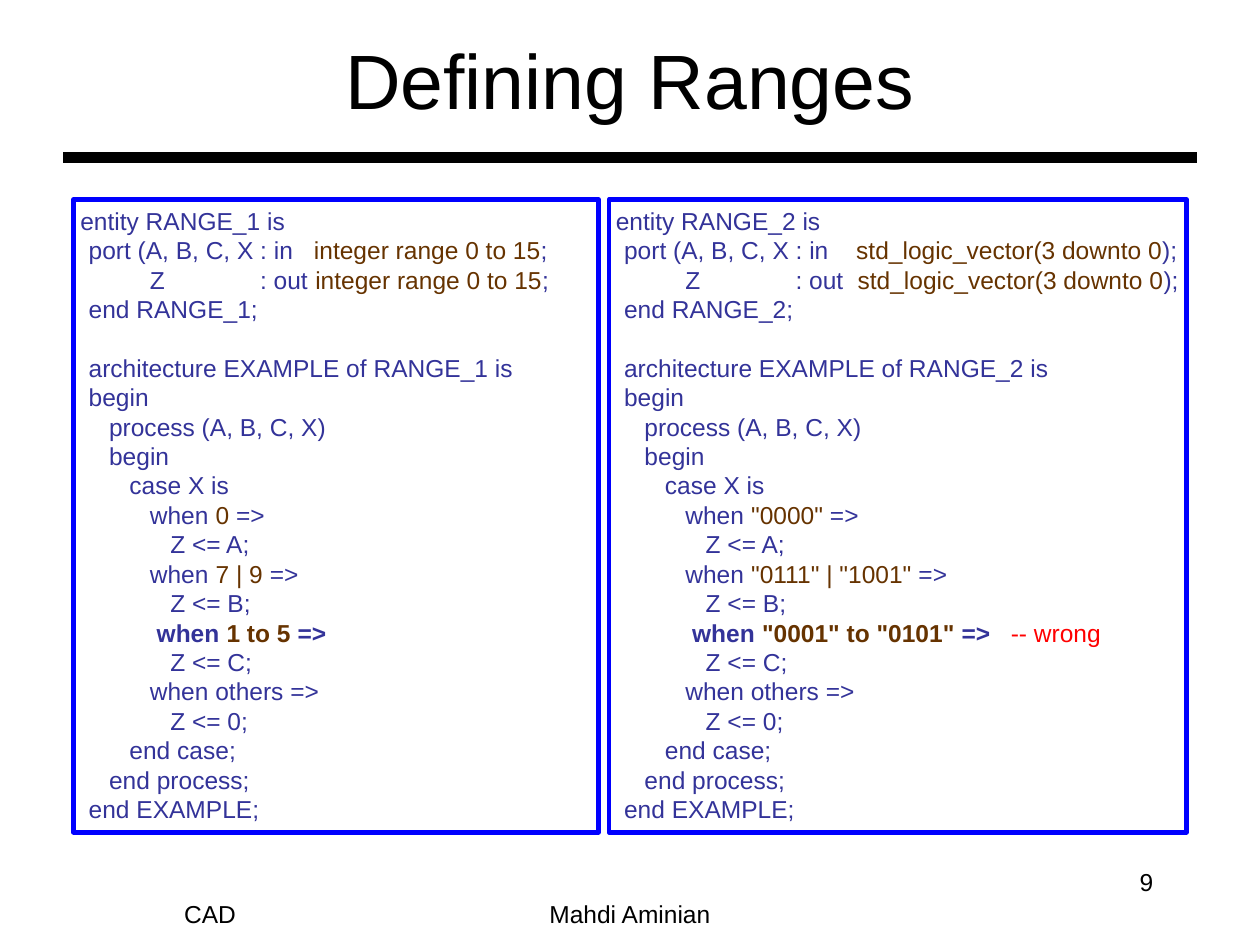
from pptx import Presentation
from pptx.dml.color import RGBColor as RGB
from pptx.enum.shapes import MSO_CONNECTOR as Link, MSO_SHAPE as Shape
from pptx.enum.text import MSO_ANCHOR as Anchor, MSO_AUTO_SIZE as Auto, PP_ALIGN as Align
from pptx.oxml.ns import qn
from pptx.util import Inches, Pt
from lxml.etree import SubElement

COLS, ROWS = 120, 90
WIDE, HIGH = Inches(10), Inches(7.5)
BLACK, BLUE, NAVY, BROWN, RED = "000000", "0000FF", "333399", "663300", "FF0000"

CODE = """ entity RANGE_{num} is
port (A, B, C, X : in   {pad}`{kind}`{end};
         Z              : out {pad}`{kind}`{end};
end RANGE_{num};
  
architecture EXAMPLE of RANGE_{num} is
begin
   process (A, B, C, X)
   begin
      case X is
         when `{one}` =>
            Z <= A;
         when `{two}` =>
            Z <= B;
*          when `{span}` =>{note}
            Z <= C;
         when others =>
            Z <= 0;
      end case;
   end process;
end EXAMPLE;"""

LEFT = dict(num=1, pad="", kind="integer range 0 to 15", end="",
            one="0", two="7 | 9", span="1 to 5", note="")
RIGHT = dict(num=2, pad=" ", kind="std_logic_vector(3 downto 0", end=")",
             one='"0000"', two='"0111" | "1001"', span='"0001" to "0101"',
             note="   ``-- wrong")


def tint(code):
    """Turn a hex string into a colour."""
    return RGB.from_string(code)


def place(col, row, cols, rows):
    """Turn grid cells into left, top, width and height."""
    x, y = WIDE / COLS, HIGH / ROWS
    return round(col * x), round(row * y), round(cols * x), round(rows * y)


def style(run, size, color, bold=False):
    """Give a run its font."""
    font = run.font
    font.name, font.size, font.bold = "Arial", Pt(size), bold
    font.color.rgb = tint(color)


def add_label(slide, cells, text, size=14, align=Align.CENTER, anchor=Anchor.MIDDLE):
    """Add a single line of text."""
    frame = slide.shapes.add_textbox(*place(*cells)).text_frame
    frame.word_wrap, frame.vertical_anchor = True, anchor
    frame.text = text
    para = frame.paragraphs[0]
    para.alignment = align
    style(para.runs[0], size, BLACK)


def add_rule(slide, col, row, cols):
    """Add the thick rule under the title."""
    x, y, w, _ = place(col, row, cols, 0)
    rule = slide.shapes.add_connector(Link.STRAIGHT, x, y, x + w, y)
    rule.line.color.rgb, rule.line.width = tint(BLACK), Pt(6)
    SubElement(rule._element.spPr, qn("a:effectLst"))


def add_line(para, line):
    """Add one code line, with the parts between backticks in brown."""
    strong = line.startswith("*")
    for i, part in enumerate(line.removeprefix("*").split("`")):
        if part:
            note = part.startswith("--")
            run = para.add_run()
            run.text = part
            style(run, 14, RED if note else (NAVY, BROWN)[i % 2],
                  strong and bool(part.strip()) and not note)


def add_code(slide, cells, words):
    """Add a framed code listing."""
    box = slide.shapes.add_shape(Shape.RECTANGLE, *place(*cells))
    box.shadow.inherit = False
    box.fill.background()
    box.line.color.rgb, box.line.width = tint(BLUE), Pt(2.75)
    frame = box.text_frame
    frame.word_wrap, frame.vertical_anchor = True, Anchor.TOP
    frame.auto_size = Auto.SHAPE_TO_FIT_TEXT
    frame.margin_left = frame.margin_right = 0
    para = frame.paragraphs[0]
    para.alignment = Align.LEFT
    props = para._p.get_or_add_pPr()
    props.set("marL", str(Inches(0.12)))
    props.set("indent", str(-Inches(0.12)))
    for i, line in enumerate(CODE.format(**words).split("\n")):
        if i:
            para.add_line_break()
        add_line(para, line)
    for gap in para._p.findall(qn("a:br")):
        mark = SubElement(gap, qn("a:rPr"), sz="1400")
        SubElement(mark, qn("a:latin"), typeface="Arial")


def main():
    """Build the slide and save it."""
    deck = Presentation()
    deck.slide_width, deck.slide_height = WIDE, HIGH
    slide = deck.slides.add_slide(deck.slide_layouts[6])
    add_rule(slide, 6, 15, 108)
    add_label(slide, (9, 0, 102, 15), "Defining Ranges", 44)
    add_label(slide, (1, 84, 38, 6), "CAD")
    add_label(slide, (41, 84, 38, 6), "Mahdi Aminian")
    add_label(slide, (103, 82, 8, 6), "9", align=Align.RIGHT, anchor=Anchor.TOP)
    add_code(slide, (7, 19, 50, 60.25), LEFT)
    add_code(slide, (58, 19, 55, 60.25), RIGHT)
    deck.save("out.pptx")


if __name__ == "__main__":
    main()
